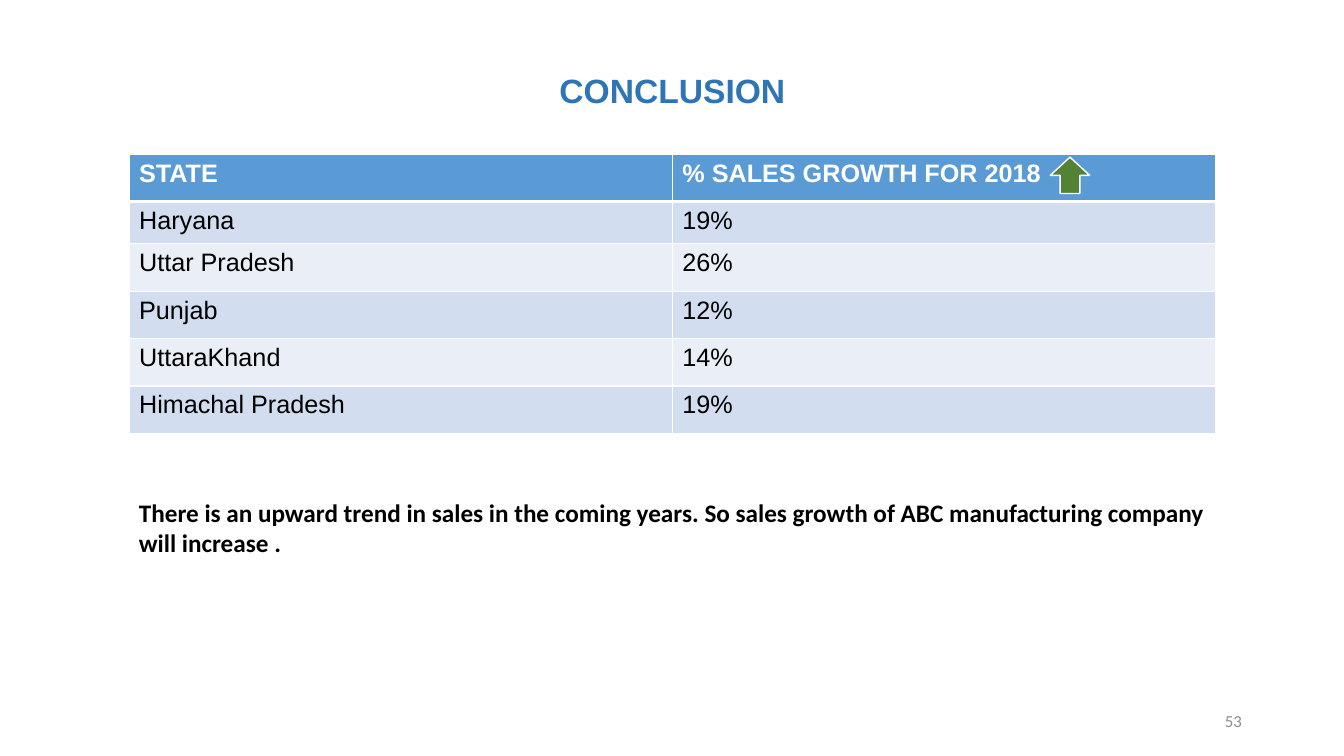
from lxml.etree import SubElement
from pptx import Presentation
from pptx.dml.color import RGBColor
from pptx.enum.shapes import MSO_SHAPE as Shape
from pptx.enum.text import MSO_ANCHOR as Anchor, MSO_AUTO_SIZE as AutoSize, PP_ALIGN as Align
from pptx.oxml.ns import qn
from pptx.util import Inches, Pt

COLORS = {
    "title": "2E75B6",
    "header": "5B9BD5",
    "odd": "D2DEEF",
    "even": "EAEFF7",
    "arrow": "548235",
    "number": "8C8C8C",
    "white": "FFFFFF",
    "black": "000000",
}
GROWTH = [
    ("STATE", "% SALES GROWTH FOR 2018"),
    ("Haryana", "19%"),
    ("Uttar Pradesh", "26%"),
    ("Punjab", "12%"),
    ("UttaraKhand", "14%"),
    ("Himachal Pradesh", "19%"),
]
ROW_SHARES = [6.27, 5.6] + [6.27] * 4
LEFT, WIDTH = 9.6, 80.85


def color(name):
    return RGBColor.from_string(COLORS[name])


class SlideBuilder:
    def __init__(self, presentation):
        self.page_width = presentation.slide_width
        self.page_height = presentation.slide_height
        self.slide = presentation.slides.add_slide(presentation.slide_layouts[5])

    def box(self, left, top, width, height):
        return (
            round(self.page_width * left / 100),
            round(self.page_height * top / 100),
            round(self.page_width * width / 100),
            round(self.page_height * height / 100),
        )

    def add_words(self, frame, text, size, font, ink, bold=False, align=Align.LEFT):
        paragraph = frame.paragraphs[0]
        paragraph.alignment = align
        run = paragraph.add_run()
        run.text = text
        run.font.size = Pt(size)
        run.font.name = font
        run.font.bold = bold
        run.font.color.rgb = color(ink)

    def title(self, text, *area):
        shape = self.slide.shapes.title
        shape.left, shape.top, shape.width, shape.height = self.box(*area)
        frame = shape.text_frame
        frame.word_wrap = True
        frame.auto_size = AutoSize.NONE
        frame.vertical_anchor = Anchor.TOP
        self.add_words(frame, text, 24, "Arial", "title", True, Align.CENTER)

    def text(self, text, area, size, ink, anchor=Anchor.TOP, **style):
        frame = self.slide.shapes.add_textbox(*self.box(*area)).text_frame
        frame.word_wrap = True
        frame.vertical_anchor = anchor
        self.add_words(frame, text, size, "Calibri", ink, **style)

    def border(self, cell, widths):
        properties = cell._tc.get_or_add_tcPr()
        for side, width in zip("LRTB", widths):
            line = SubElement(properties, qn(f"a:ln{side}"), w=str(Pt(width)))
            fill = SubElement(line, qn("a:solidFill"))
            SubElement(fill, qn("a:srgbClr"), val=COLORS["white"])

    def table(self, rows, row_shares, left, top, width):
        area = self.box(left, top, width, sum(row_shares))
        table = self.slide.shapes.add_table(len(rows), len(rows[0]), *area).table
        for index, (values, share) in enumerate(zip(rows, row_shares)):
            table.rows[index].height = round(self.page_height * share / 100)
            header = index == 0
            band = "header" if header else "odd" if index % 2 else "even"
            widths = (1, 1, 3 if index == 1 else 1, 3 if header else 1)
            for column, value in enumerate(values):
                cell = table.cell(index, column)
                self.border(cell, widths)
                cell.fill.solid()
                cell.fill.fore_color.rgb = color(band)
                ink = "white" if header else "black"
                self.add_words(cell.text_frame, value, 18, "Arial", ink, header)

    def up_arrow(self, *area):
        shape = self.slide.shapes.add_shape(Shape.UP_ARROW, *self.box(*area))
        shape.shadow.inherit = False
        shape.fill.solid()
        shape.fill.fore_color.rgb = color("arrow")
        shape.line.color.rgb = color("white")
        shape.line.width = Pt(1)


def main():
    presentation = Presentation()
    presentation.slide_width = Inches(13.33)
    presentation.slide_height = Inches(7.5)
    builder = SlideBuilder(presentation)
    builder.text("53", (70.65, 92.67, 22.5, 5.33), 12, "number",
                 Anchor.MIDDLE, align=Align.RIGHT)
    builder.title("CONCLUSION", 7.65, 8.53, 84.75, 6.67)
    builder.text(
        "There is an upward trend in sales in the coming years. "
        "So sales growth of ABC manufacturing company will increase .",
        (LEFT, 65.07, WIDTH, 17.47), 18, "black", bold=True)
    builder.table(GROWTH, ROW_SHARES, LEFT, 20.4, WIDTH)
    builder.up_arrow(78.15, 20.8, 2.93, 4.8)
    presentation.save("out.pptx")


if __name__ == "__main__":
    main()
